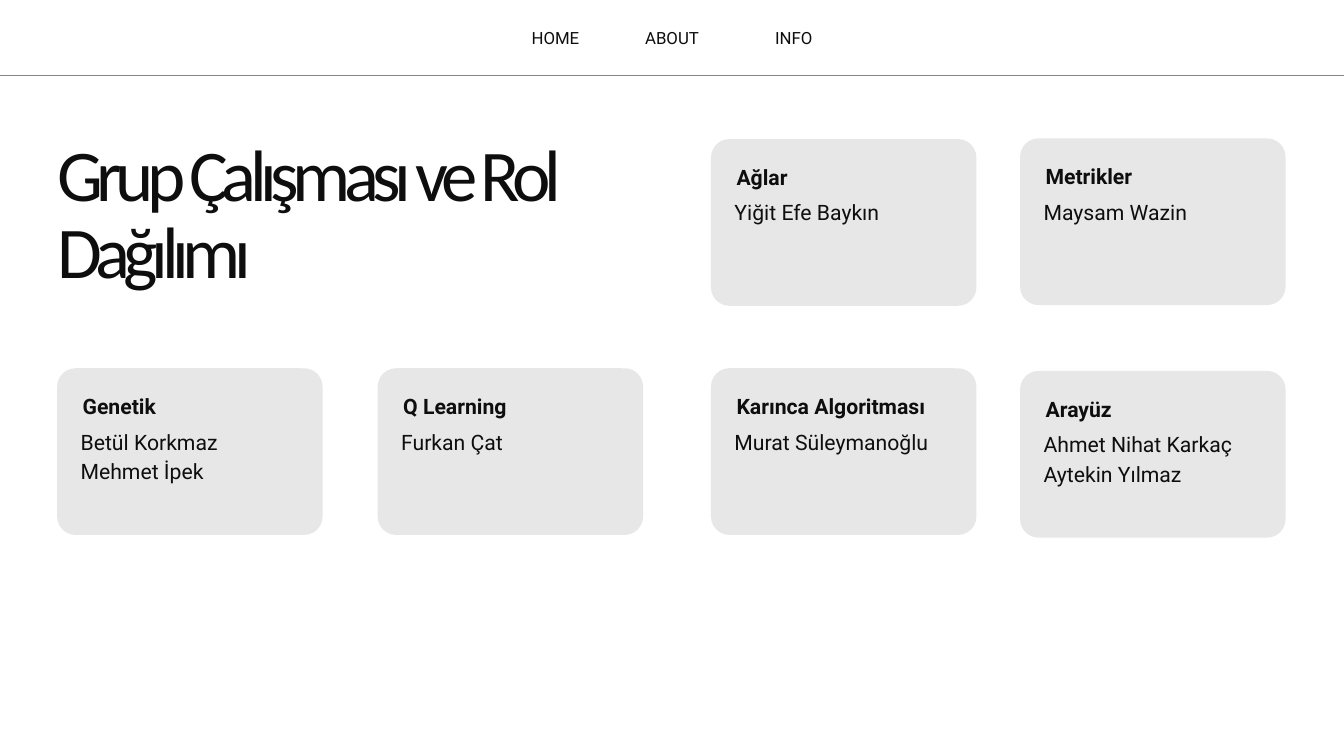
from dataclasses import dataclass

from lxml import etree
from pptx import Presentation
from pptx.dml.color import RGBColor
from pptx.enum.shapes import MSO_CONNECTOR, MSO_SHAPE
from pptx.enum.text import MSO_ANCHOR, MSO_AUTO_SIZE, PP_ALIGN
from pptx.oxml.ns import qn
from pptx.util import Inches, Pt

STRAIGHT = MSO_CONNECTOR.STRAIGHT
ROUNDED = MSO_SHAPE.ROUNDED_RECTANGLE
TOP = MSO_ANCHOR.TOP
NO_FIT = MSO_AUTO_SIZE.NONE
LEFT, CENTER, RIGHT, JUSTIFY = (
    PP_ALIGN.LEFT, PP_ALIGN.CENTER, PP_ALIGN.RIGHT, PP_ALIGN.JUSTIFY)
TITLE_ONLY = 5


@dataclass(frozen=True)
class Style:
    """A font with its size and line height in points."""
    font: str
    size: float
    leading: float
    bold: bool = False


@dataclass(frozen=True)
class Theme:
    """Colours and type of the deck."""
    ink: RGBColor = RGBColor(0x0E, 0x0E, 0x0E)
    card: RGBColor = RGBColor(0xE7, 0xE7, 0xE7)
    title: Style = Style("Calibri", 78, 82.7)
    menu: Style = Style("Roboto", 18, 25.2)
    heading: Style = Style("Roboto", 22.7, 31.8, True)
    names: Style = Style("Roboto", 22.7, 31.8)
    title_tracking: float = -6.9


THEME = Theme()
PAGE_WIDTH, PAGE_HEIGHT = 20, 11.25
COLUMNS = (0.85, 5.62, 10.58, 15.18)
ROWS = (2.07, 5.48)
CARD_WIDTH, CARD_HEIGHT = 3.95, 2.48
MENU = (("HOME", LEFT), ("ABOUT", CENTER), ("INFO", RIGHT))
CARDS = (
    (2, 0, 0, "Ağlar", ["Yiğit Efe Baykın"]),
    (3, 0, -0.01, "Metrikler", ["Maysam Wazin"]),
    (0, 1, 0, "Genetik", ["Betül Korkmaz", "Mehmet İpek"]),
    (1, 1, 0, "Q Learning", ["Furkan Çat"]),
    (2, 1, 0, "Karınca Algoritması", ["Murat Süleymanoğlu"]),
    (3, 1, 0.04, "Arayüz", ["Ahmet Nihat Karkaç", "Aytekin Yılmaz"]),
)


def fill_text(frame, lines, style, align=LEFT):
    """Write lines into a frame without margins, one paragraph each."""
    frame.word_wrap = True
    frame.auto_size = NO_FIT
    frame.vertical_anchor = TOP
    frame.margin_left = frame.margin_right = 0
    frame.margin_top = frame.margin_bottom = 0
    frame.text = "\n".join(lines)
    for para in frame.paragraphs:
        para.alignment = align
        para.line_spacing = Pt(style.leading)
        para.space_before = Pt(0)
        para.font.name = style.font
        para.font.size = Pt(style.size)
        para.font.bold = style.bold
        para.font.color.rgb = THEME.ink


def add_text(page, left, top, width, height, lines, style, align=LEFT):
    """Add a text box measured in inches."""
    box = page.shapes.add_textbox(*map(Inches, (left, top, width, height)))
    fill_text(box.text_frame, lines, style, align)


def add_menu(page, left, top, width, height):
    """Place the menu entries side by side in equal steps."""
    entry_width = 1.15
    step = (width - entry_width) / (len(MENU) - 1)
    for index, (label, align) in enumerate(MENU):
        add_text(page, left + index * step, top, entry_width, height,
                 [label], THEME.menu, align)


def add_rule(page, top):
    """Draw the half-transparent rule across the page."""
    rule = page.shapes.add_connector(
        STRAIGHT, 0, Inches(top), Inches(PAGE_WIDTH), Inches(top))
    rule.line.width = Pt(0.75)
    rule.line.color.rgb = THEME.ink
    properties = rule._element.spPr
    color = next(properties.iter(qn("a:srgbClr")))
    etree.SubElement(color, qn("a:alpha")).set("val", "50000")
    etree.SubElement(properties, qn("a:effectLst"))


def set_title(page, left, top, width, height, text):
    """Move and format the title placeholder."""
    title = page.shapes.title
    title.left, title.top = Inches(left), Inches(top)
    title.width, title.height = Inches(width), Inches(height)
    fill_text(title.text_frame, [text], THEME.title)
    para = title.text_frame.paragraphs[0]
    tracking = str(round(THEME.title_tracking * 100))
    para._p.get_or_add_pPr().get_or_add_defRPr().set("spc", tracking)


def add_card(page, left, top, width, height, heading, names):
    """Place a rounded card with its heading and names."""
    card = page.shapes.add_shape(
        ROUNDED, *map(Inches, (left, top, width, height)))
    card.adjustments[0] = 0.11
    card.shadow.inherit = False
    card.fill.solid()
    card.fill.fore_color.rgb = THEME.card
    card.line.fill.background()
    line_height = 0.42
    add_text(page, left + 0.35, top + 0.84, width - 0.7,
             line_height * len(names), names, THEME.names, JUSTIFY)
    add_text(page, left + 0.38, top + 0.31, width, line_height,
             [heading], THEME.heading)


def main():
    """Build the team roles slide."""
    deck = Presentation()
    deck.slide_width, deck.slide_height = Inches(PAGE_WIDTH), Inches(PAGE_HEIGHT)
    page = deck.slides.add_slide(deck.slide_layouts[TITLE_ONLY])
    add_rule(page, PAGE_HEIGHT / 10)
    set_title(page, COLUMNS[0], ROWS[0], 7.96, 2.33,
              "Grup Çalışması ve Rol Dağılımı")
    add_menu(page, 7.91, 0.36, 4.18, 0.34)
    for column, row, nudge, heading, names in CARDS:
        add_card(page, COLUMNS[column], ROWS[row] + nudge,
                 CARD_WIDTH, CARD_HEIGHT, heading, names)
    deck.save("out.pptx")


if __name__ == "__main__":
    main()
